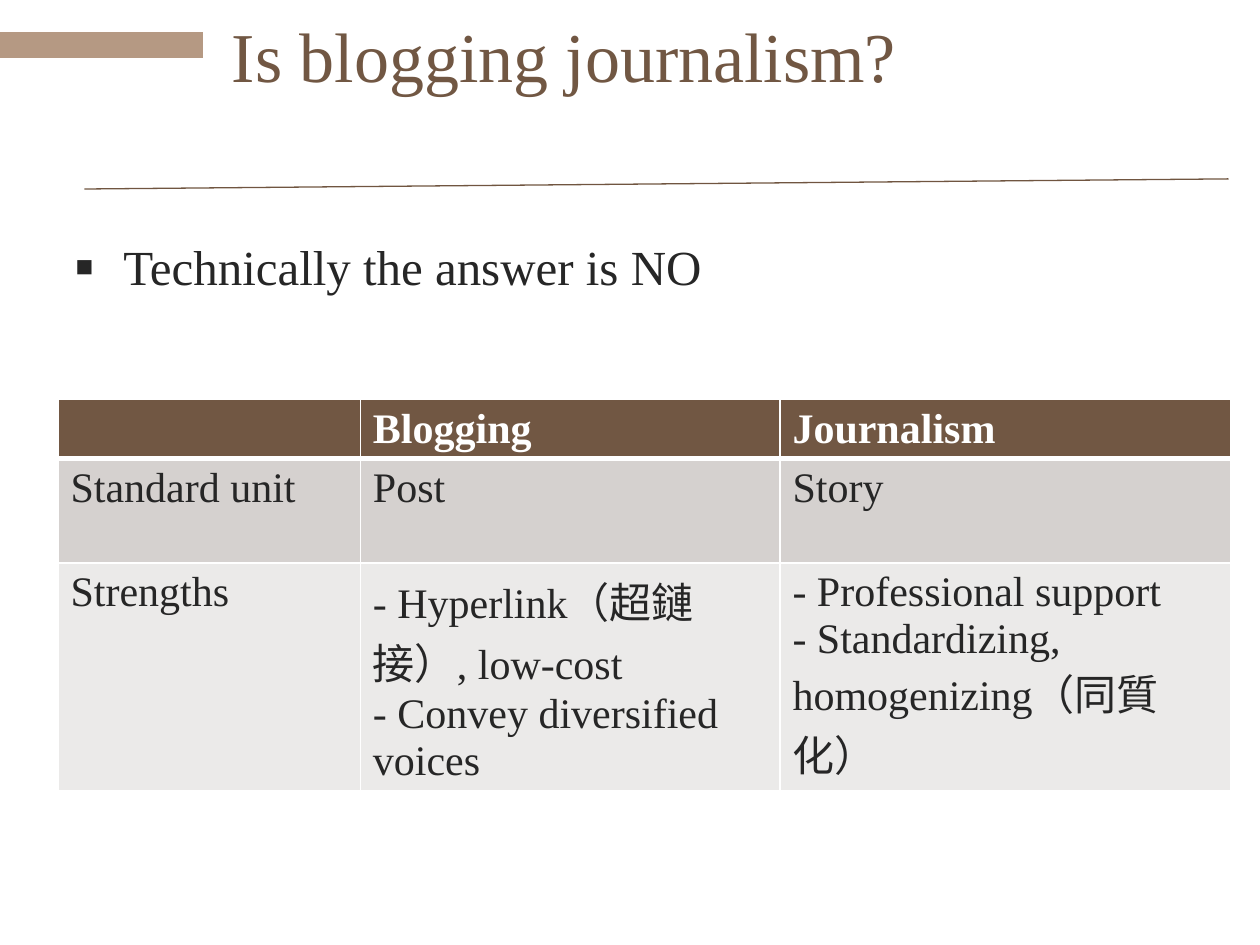
"""Build a slide comparing blogging with journalism."""
import pptx
import pptx.dml.color
import pptx.enum.shapes
import pptx.enum.text
import pptx.oxml
import pptx.oxml.ns
import pptx.util
from lxml import etree

Inches, Pt = pptx.util.Inches, pptx.util.Pt

TITLE = "Is blogging journalism?"
BULLET = "Technically the answer is NO"
ROWS = [
    ["", "Blogging", "Journalism"],
    ["Standard unit", "Post", "Story"],
    ["Strengths",
     "- Hyperlink（超鏈接）, low-cost\n- Convey diversified voices",
     "- Professional support\n- Standardizing, homogenizing（同質化）"],
]
COL_WIDTHS = [2.4, 3.33, 3.58]
ROW_HEIGHTS = [0.42, 0.83, 1.43]
ROW_FILLS = ["715743", "D5D1CF", "EBEAE9"]
LINES = [
    ((0, 0.36), (1.61, 0.36), "B59983", 15),
    ((0.67, 1.5), (9.75, 1.42), "705540", 0.75),
]
FONT = "Times New Roman"
TITLE_FORMAT = {"name": FONT, "size": Pt(40), "color": "715743", "bold": False}
BODY_FORMAT = {"name": FONT, "size": Pt(28), "color": "262626", "bold": False}
HEAD_FORMAT = {"name": FONT, "size": Pt(24), "color": "FFFFFF", "bold": True}
CELL_FORMAT = {"name": FONT, "size": Pt(24), "color": "262626", "bold": False}


def rgb(value):
    return pptx.dml.color.RGBColor.from_string(value)


def format_font(font, values):
    for key, value in values.items():
        if key == "color":
            font.color.rgb = rgb(value)
        else:
            setattr(font, key, value)


def add_child(parent, tag, **attrs):
    return etree.SubElement(parent, pptx.oxml.ns.qn(tag), attrs)


def fill_placeholder(sp, text, box, anchor, values):
    sp.left, sp.top, sp.width, sp.height = map(Inches, box)
    tf = sp.text_frame
    tf.text = text
    tf.auto_size = pptx.enum.text.MSO_AUTO_SIZE.NONE
    tf.vertical_anchor = anchor
    p = tf.paragraphs[0]
    p.alignment = pptx.enum.text.PP_ALIGN.LEFT
    p.space_before = Pt(0)
    format_font(p.runs[0].font, values)
    return p


def add_bullet(p, char, size, indent):
    pPr = p._p.get_or_add_pPr()
    pPr.set("marL", str(Inches(indent)))
    pPr.set("indent", str(-Inches(indent)))
    add_child(pPr, "a:buSzPct", val=str(size * 1000))
    add_child(pPr, "a:buChar", char=char)


def add_borders(cell, widths):
    tcPr = cell._tc.get_or_add_tcPr()
    for i, (side, width) in enumerate(widths.items()):
        ln = pptx.oxml.parse_xml(
            f'<a:{side} {pptx.oxml.ns.nsdecls("a")} w="{Pt(width)}"><a:solidFill>'
            f'<a:srgbClr val="FFFFFF"/></a:solidFill></a:{side}>')
        tcPr.insert(i, ln)


def add_comparison(s):
    shape = s.shapes.add_table(len(ROWS), len(COL_WIDTHS), Inches(0.46), Inches(3.17),
                               Inches(sum(COL_WIDTHS)), Inches(sum(ROW_HEIGHTS)))
    table = shape.table
    for column, width in zip(table.columns, COL_WIDTHS):
        column.width = Inches(width)
    for i, texts in enumerate(ROWS):
        table.rows[i].height = Inches(ROW_HEIGHTS[i])
        widths = {"lnL": 1, "lnR": 1, "lnT": 3 if i == 1 else 1, "lnB": 3 if i == 0 else 1}
        for j, text in enumerate(texts):
            cell = table.cell(i, j)
            cell.text = text
            cell.fill.solid()
            cell.fill.fore_color.rgb = rgb(ROW_FILLS[i])
            add_borders(cell, widths)
            for p in cell.text_frame.paragraphs:
                format_font(p.font, CELL_FORMAT if i else HEAD_FORMAT)
                for r in p.runs:
                    format_font(r.font, CELL_FORMAT if i else HEAD_FORMAT)


def add_line(s, start, end, color, width):
    line = s.shapes.add_connector(pptx.enum.shapes.MSO_CONNECTOR.STRAIGHT,
                                  *map(Inches, start + end))
    line.line.color.rgb = rgb(color)
    line.line.width = Pt(width)
    add_child(line._element.spPr, "a:effectLst")


def main():
    prs = pptx.Presentation()
    prs.slide_width, prs.slide_height = Inches(10), Inches(7.5)
    s = prs.slides.add_slide(prs.slide_layouts[1])
    anchor = pptx.enum.text.MSO_ANCHOR
    fill_placeholder(s.shapes.title, TITLE, (1.74, 0.08, 6.93, 0.71),
                     anchor.MIDDLE, TITLE_FORMAT)
    p = fill_placeholder(s.placeholders[1], BULLET, (0.5, 1.83, 8.9, 4.24),
                         anchor.TOP, BODY_FORMAT)
    add_bullet(p, "■", 60, 0.38)
    add_comparison(s)
    for line in LINES:
        add_line(s, *line)
    prs.save("out.pptx")


if __name__ == "__main__":
    main()
